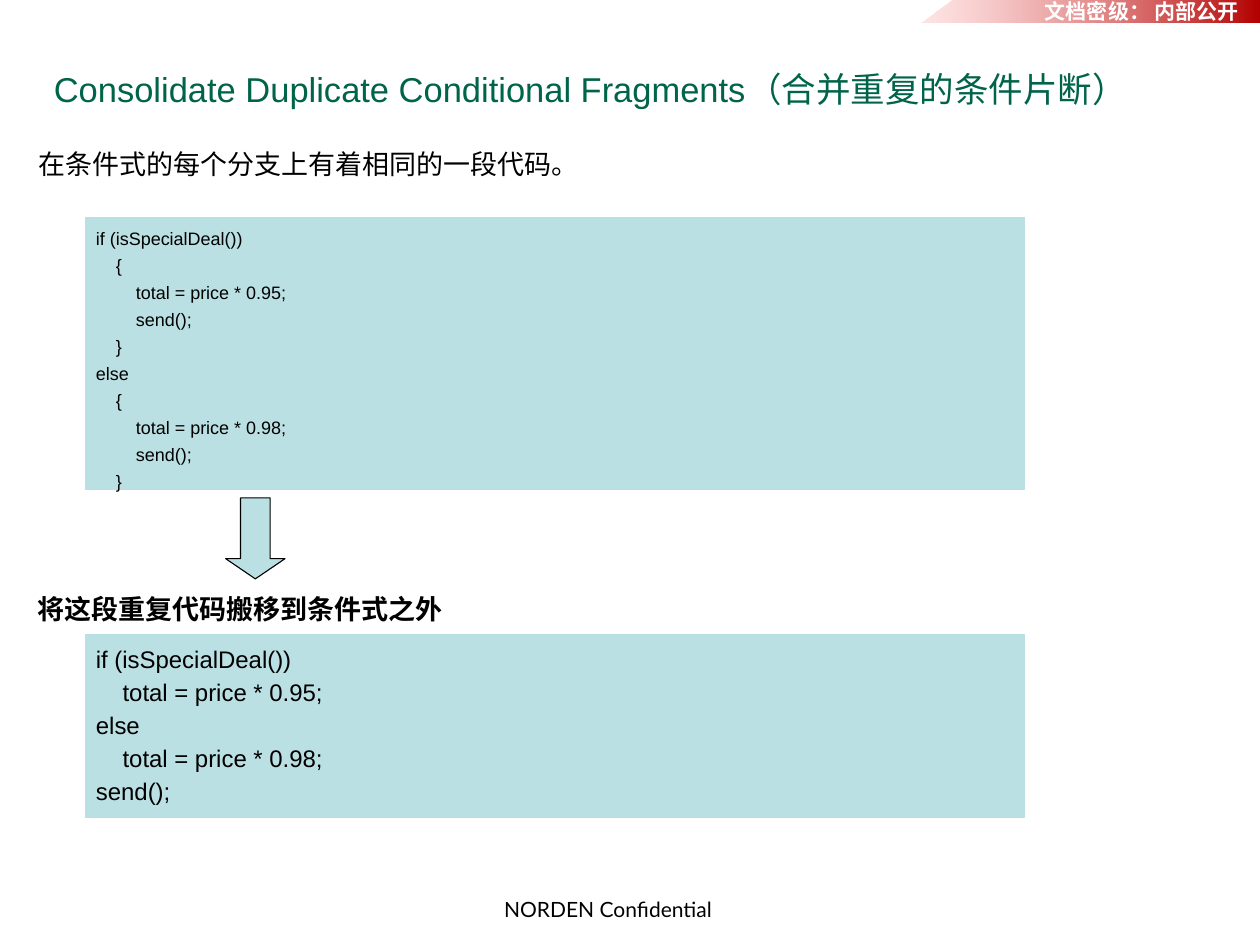
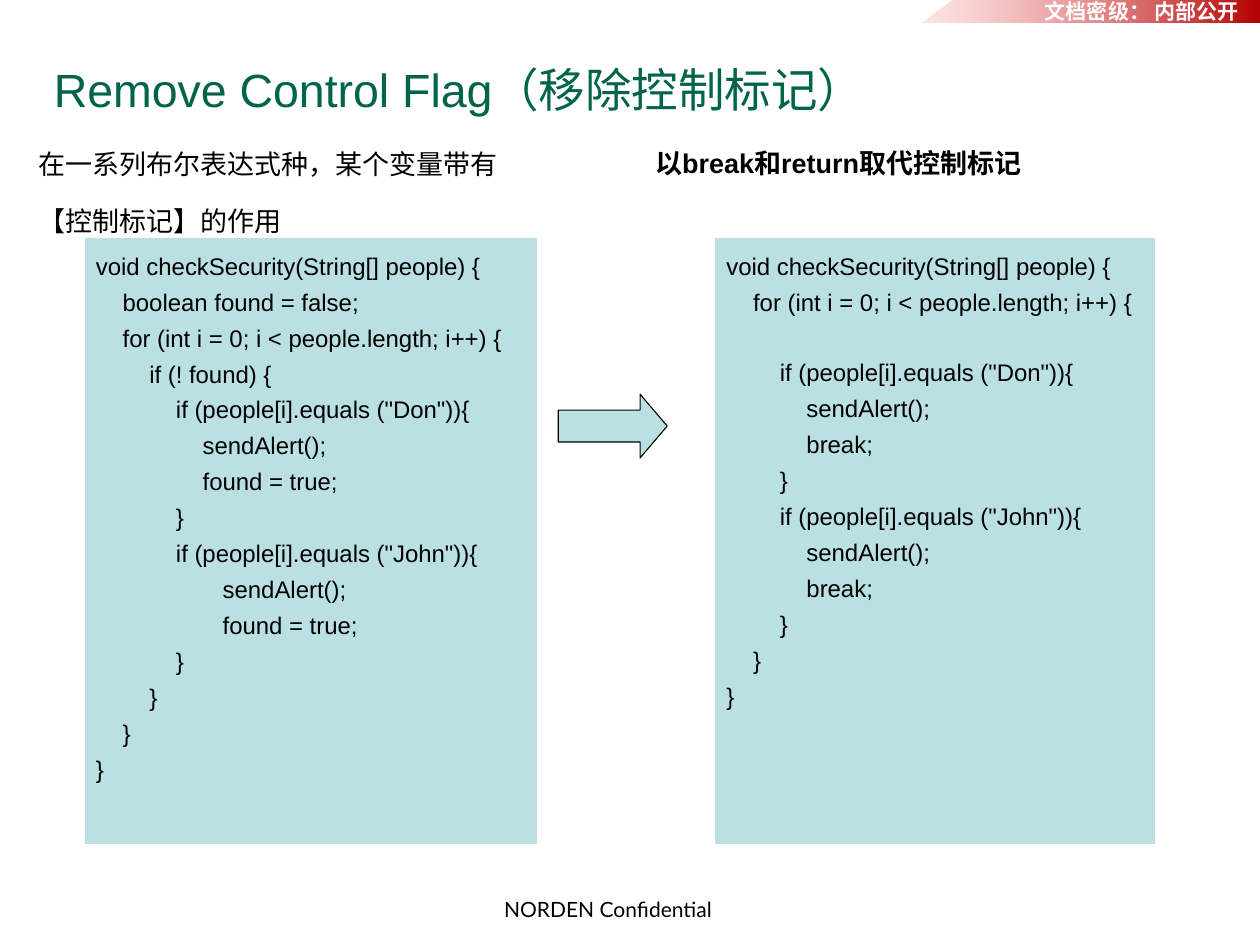
import pptx
import pptx.util
import pptx.dml.color
import pptx.enum.dml
import pptx.enum.lang
import pptx.enum.shapes
import pptx.enum.text
import pptx.oxml
from dataclasses import dataclass

Inches, Pt = pptx.util.Inches, pptx.util.Pt
RGB = pptx.dml.color.RGBColor.from_string
SHAPE = pptx.enum.shapes.MSO_SHAPE
ANCHOR = pptx.enum.text.MSO_ANCHOR


@dataclass(frozen=True)
class Theme:
    font: str = "Arial"
    footer_font: str = "Lato"
    ink: str = "000000"
    white: str = "FFFFFF"
    title: str = "00644A"
    panel: str = "BBE0E3"
    band: tuple = ("B40000", "FFBFBF")
    caption_pt: int = 18
    small_pt: int = 14
    line_pt: float = 0.75
    space_em: float = 0.278  # width of a space in the code font


T = Theme()

# Content
FOOTER = "NORDEN Confidential"
BADGE = "文档密级： 内部公开"

DUPLICATED = """if (isSpecialDeal())
    {
        total = price * 0.95;
        send();
    }
else
    {
        total = price * 0.98;
        send();
    }"""

CONSOLIDATED = """if (isSpecialDeal())
    total = price * 0.95;
else
    total = price * 0.98;
send();"""

WITH_FLAG = """void checkSecurity(String[] people) {
    boolean found = false;
    for (int i = 0; i < people.length; i++) {
        if (! found) {
            if (people[i].equals ("Don")){
                sendAlert();
                found = true;
            }
            if (people[i].equals ("John")){
                   sendAlert();
                   found = true;
            }
        }
    }
}"""

WITHOUT_FLAG = """void checkSecurity(String[] people) {
    for (int i = 0; i < people.length; i++) {
        if (people[i].equals ("Don")){
            sendAlert();
            break;
        }
        if (people[i].equals ("John")){
            sendAlert();
            break;
        }
    }
}"""

# Boxes are left, top, width, height in inches; gap_at is a line set one line lower
SLIDES = [
    dict(
        title=("Consolidate Duplicate Conditional Fragments（合并重复的条件片断）", 23),
        code=[
            dict(box=(0.79, 2.01, 8.7, 2.52), text=DUPLICATED, size=12, spacing=1.25),
            dict(box=(0.79, 5.88, 8.7, 1.69), text=CONSOLIDATED, size=16, spacing=1.15),
        ],
        captions=[
            ((0.26, 1.24, 5.95, 0.46), ["在条件式的每个分支上有着相同的一段代码。"], False),
            ((0.25, 5.36, 4.7, 0.46), ["将这段重复代码搬移到条件式之外"], True),
        ],
        arrow=(SHAPE.DOWN_ARROW, (2.09, 4.61, 0.55, 0.75), 0.34),
    ),
    dict(
        title=("Remove Control Flag（移除控制标记）", 31),
        code=[
            dict(box=(0.79, 2.21, 4.18, 5.6), text=WITH_FLAG, size=16, spacing=1.25),
            dict(box=(6.63, 2.21, 4.06, 5.6), text=WITHOUT_FLAG, size=16, spacing=1.25,
                 gap_at=2),
        ],
        captions=[
            ((0.26, 1.24, 5.2, 0.98),
             ["在一系列布尔表达式种，某个变量带有", "【控制标记】的作用"], False),
            ((5.97, 1.23, 4.58, 0.46), ["以break和return取代控制标记"], True),
        ],
        arrow=(SHAPE.RIGHT_ARROW, (5.17, 3.65, 1.01, 0.59), 0.426),
    ),
]


# Helpers
def inches(box):
    return [Inches(v) for v in box]


def write(tf, lines, size, color=T.ink, font=T.font, bold=False, spacing=1.0, before=0):
    """Fill a text frame with one paragraph a line and return the paragraphs."""
    tf.word_wrap = True
    for i, line in enumerate(lines):
        p = tf.add_paragraph() if i else tf.paragraphs[0]
        p.text = line
        p.alignment = pptx.enum.text.PP_ALIGN.LEFT
        p.line_spacing = spacing
        p.space_before = Pt(before)
        f = p.font
        f.name, f.size, f.bold = font, Pt(size), bold
        f.color.rgb = RGB(color)
        f.language_id = pptx.enum.lang.MSO_LANGUAGE_ID.SIMPLIFIED_CHINESE
    return tf.paragraphs


def add_text(s, box, lines, size, anchor=ANCHOR.TOP, **style):
    tf = s.shapes.add_textbox(*inches(box)).text_frame
    tf.vertical_anchor = anchor
    write(tf, lines, size, **style)


def add_panel(s, kind, box, line):
    sp = s.shapes.add_shape(kind, *inches(box))
    sp.shadow.inherit = False
    sp.fill.solid()
    sp.fill.fore_color.rgb = RGB(T.panel)
    sp.line.color.rgb = RGB(line)
    sp.line.width = Pt(T.line_pt)
    return sp


def add_code(s, box, text, size, spacing, gap_at=None):
    tf = add_panel(s, SHAPE.RECTANGLE, box, T.panel).text_frame
    tf.vertical_anchor = ANCHOR.TOP
    lines = text.splitlines()
    ps = write(tf, [line.strip() for line in lines], size, spacing=spacing)
    for i, (p, line) in enumerate(zip(ps, lines)):
        depth = len(line) - len(line.lstrip())
        pPr = p._p.get_or_add_pPr()
        pPr.set("marL", str(int(Pt(depth * T.space_em * size))))
        pPr.set("indent", "0")
        if i == gap_at:
            p.space_before = Pt(round(size * 1.15 * spacing))


def add_frame(s):
    """Footer and classification band shared by all slides."""
    add_text(s, (4.57, 8.25, 2.27, 0.33), [FOOTER], T.small_pt, font=T.footer_font)
    fb = s.shapes.build_freeform(Inches(11.67), 0)
    fb.add_line_segments([(Inches(x), Inches(y)) for x, y in
                          [(8.83, 0), (8.53, 0.21), (11.67, 0.21)]], close=True)
    band = fb.convert_to_shape()
    band.shadow.inherit = False
    band.line.fill.background()
    band.fill.gradient()
    band.fill.gradient_angle = 180
    for stop, position, color in zip(band.fill.gradient_stops, (0, 1), T.band):
        stop.position = position
        stop.color.rgb = RGB(color)
    # The pale end is 40 % opaque
    pale = band._element.spPr.xpath(".//a:gs/a:srgbClr")[-1]
    alpha = pptx.oxml.parse_xml(
        '<a:alpha xmlns:a="http://schemas.openxmlformats.org/drawingml/2006/main"'
        ' val="40000"/>')
    pale.append(alpha)
    add_text(s, (9.58, -0.06, 2.09, 0.34), [BADGE], T.small_pt, color=T.white, bold=True)


def main():
    prs = pptx.Presentation()
    prs.slide_width, prs.slide_height = Inches(11.67), Inches(8.75)
    for content in SLIDES:
        s = prs.slides.add_slide(prs.slide_layouts[6])
        add_frame(s)
        title, size = content["title"]
        add_text(s, (0.4, 0.35, 10.29, 0.95), [title], size,
                 anchor=ANCHOR.MIDDLE, color=T.title)
        for block in content["code"]:
            add_code(s, **block)
        for box, lines, bold in content["captions"]:
            add_text(s, box, lines, T.caption_pt, bold=bold, spacing=1.25, before=11.2)
        kind, box, head = content["arrow"]
        arrow = add_panel(s, kind, box, T.ink)
        arrow.adjustments[0], arrow.adjustments[1] = 0.5, head
    prs.save("out.pptx")


if __name__ == "__main__":
    main()
